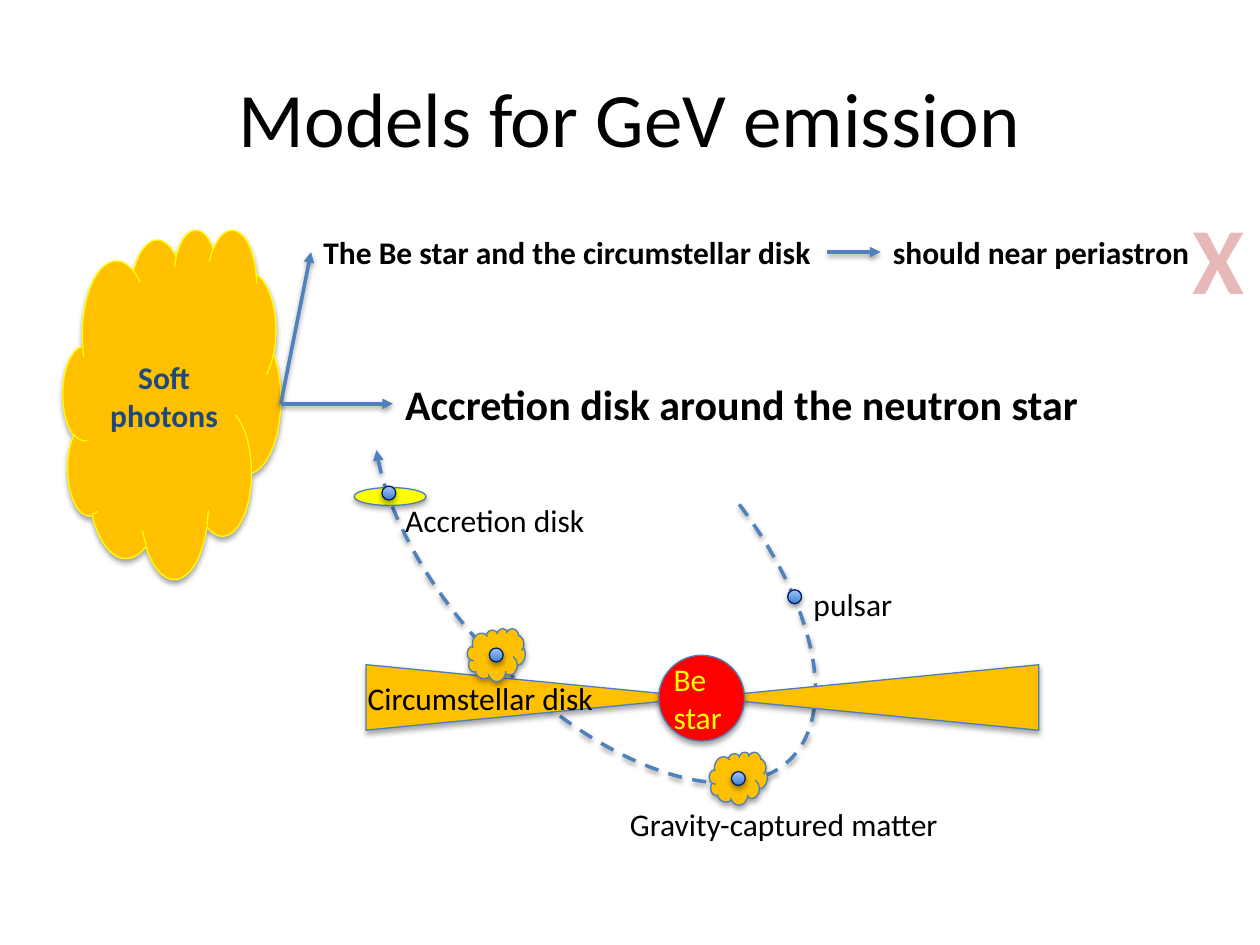
from lxml import etree
from pptx import Presentation
from pptx.dml.color import RGBColor
from pptx.enum import dml, shapes, text
from pptx.oxml import ns
from pptx.util import Cm, Pt

BLACK = RGBColor(0x00, 0x00, 0x00)
NAVY = RGBColor(0x1F, 0x49, 0x7D)
AMBER = RGBColor(0xFF, 0xC0, 0x00)
YELLOW = RGBColor(0xFF, 0xFF, 0x00)
RED = RGBColor(0xFF, 0x00, 0x00)
PINK = RGBColor(0xE6, 0xB9, 0xB8)
ARROW_BLUE = RGBColor(0x4F, 0x81, 0xBD)
EDGE_BLUE = RGBColor(0x4B, 0x7E, 0xBC)
DOT_EDGE = RGBColor(0x00, 0x20, 0x60)
DOT_DARK = RGBColor(0x3F, 0x80, 0xCE)
DOT_LIGHT = RGBColor(0xA4, 0xC4, 0xFF)

FONT = "Calibri"
LINE_HEIGHT = 1.02
DOT = 0.28
KIND = shapes.MSO_SHAPE


def add_shadow(item, distance, opacity):
    """Cast a soft black shadow straight down."""
    effects = etree.SubElement(item._element.spPr, ns.qn("a:effectLst"))
    shadow = etree.SubElement(
        effects, ns.qn("a:outerShdw"), blurRad=str(Pt(3.1)),
        dist=str(Pt(distance)), dir="5400000", rotWithShape="0")
    color = etree.SubElement(shadow, ns.qn("a:srgbClr"), val="000000")
    etree.SubElement(color, ns.qn("a:alpha"), val=str(opacity * 1000))


def style_arrow(item):
    item.line.color.rgb = ARROW_BLUE
    item.line.width = Pt(2)
    etree.SubElement(item.line._get_or_add_ln(), ns.qn("a:tailEnd"),
                     type="triangle")
    add_shadow(item, 1.6, 38)


def add_body(slide, kind, left, top, width, height, fill=AMBER, edge=EDGE_BLUE):
    body = slide.shapes.add_shape(kind, Cm(left), Cm(top), Cm(width), Cm(height))
    body.fill.solid()
    body.fill.fore_color.rgb = fill
    body.line.color.rgb = edge
    body.line.width = Pt(0.75)
    add_shadow(body, 1.8, 35)
    return body


def add_pulsar(slide, left, top):
    pulsar = add_body(slide, KIND.OVAL, left, top, DOT, DOT, edge=DOT_EDGE)
    pulsar.fill.gradient()
    pulsar.fill.gradient_angle = 90
    for stop, color in zip(pulsar.fill.gradient_stops, (DOT_DARK, DOT_LIGHT)):
        stop.color.rgb = color


def set_font(paragraph, size, color, bold):
    font = paragraph.font
    font.name, font.size, font.bold = FONT, Pt(size), bold
    font.color.rgb = color


def add_label(slide, wording, left, top, width, height=LINE_HEIGHT,
              size=18, color=BLACK, bold=False):
    label = slide.shapes.add_textbox(Cm(left), Cm(top), Cm(width), Cm(height))
    frame = label.text_frame
    frame.word_wrap = False
    frame.auto_size = text.MSO_AUTO_SIZE.SHAPE_TO_FIT_TEXT
    frame.text = wording
    for paragraph in frame.paragraphs:
        set_font(paragraph, size, color, bold)
    return label


def add_arrow(slide, start, target):
    """Draw an arrow from a point to the left side of a label."""
    arrow = slide.shapes.add_connector(
        shapes.MSO_CONNECTOR.STRAIGHT, *map(Cm, start), *map(Cm, start))
    arrow.end_connect(target, 1)
    style_arrow(arrow)
    return arrow


def fill_title(slide, left, top, width, height):
    title = slide.shapes.title
    title.left, title.top = Cm(left), Cm(top)
    title.width, title.height = Cm(width), Cm(height)
    title.text_frame.text = "Models for GeV emission"
    title.text_frame.vertical_anchor = text.MSO_ANCHOR.MIDDLE
    heading = title.text_frame.paragraphs[0]
    heading.alignment = text.PP_ALIGN.CENTER
    set_font(heading, 44, BLACK, False)


def draw_photon_sources(slide, left, top):
    cloud = add_body(slide, KIND.CLOUD, left, top + 0.71, 4.39, 7.04, edge=YELLOW)
    cloud.text_frame.text = "Soft photons"
    cloud.text_frame.word_wrap = True
    cloud.text_frame.vertical_anchor = text.MSO_ANCHOR.MIDDLE
    photons = cloud.text_frame.paragraphs[0]
    photons.alignment = text.PP_ALIGN.CENTER
    set_font(photons, 18, NAVY, True)

    star_option = add_label(slide, "The Be star and the circumstellar disk",
                            left + 5, top + 0.66, 10.41, bold=True)
    objection = add_label(slide, "should near periastron",
                          left + 16.48, top + 0.66, 6.53, bold=True)
    cross = add_label(slide, "X", left + 22.5, top, 1.57, 2.57,
                      size=54, color=PINK, bold=True)
    cross.text_frame.paragraphs[0].alignment = text.PP_ALIGN.CENTER
    disk_option = add_label(slide, "Accretion disk around the neutron star",
                            left + 6.65, top + 3.59, 14.2, 1.28,
                            size=24, bold=True)

    cloud_side = (left + 4.39, top + 4.23)
    add_arrow(slide, cloud_side, star_option)
    add_arrow(slide, cloud_side, disk_option)
    add_arrow(slide, (left + 15.41, top + 1.17),
              objection).begin_connect(star_option, 3)


def draw_orbit(slide, left, top):
    orbit = slide.shapes.add_shape(KIND.ARC, Cm(left), Cm(top), Cm(11.38), Cm(5.79))
    orbit.fill.background()
    orbit.rotation = 46.4
    for index, degrees in enumerate((294, 159.43)):
        orbit.adjustments[index] = degrees * 0.6  # 60000ths over 100000
    orbit.line.dash_style = dml.MSO_LINE.DASH
    style_arrow(orbit)

    for x, rotation in ((3.81, 90), (10.59, 270)):
        wing = add_body(slide, KIND.ISOSCELES_TRIANGLE,
                        left + x, top + 2.36, 1.32, 6.78)
        wing.rotation = rotation
    add_body(slide, KIND.OVAL, left + 6.98, top + 4.9, 1.73, 1.73, fill=RED)
    add_label(slide, "Be\nstar", left + 7.03, top + 4.87, 1.5, 1.8, color=YELLOW)

    matter_width, matter_height = 1.17, 1.07
    for x, y in ((8, 6.85), (3.12, 4.36)):
        add_body(slide, KIND.CLOUD, left + x, top + y, matter_width, matter_height)
        add_pulsar(slide, left + x + (matter_width - DOT) / 2,
                   top + y + (matter_height - DOT) / 2)
    add_body(slide, KIND.OVAL, left + 0.84, top + 1.52, 1.45, 0.36, fill=YELLOW)
    for x, y in ((1.4, 1.49), (9.58, 3.58)):
        add_pulsar(slide, left + x, top + y)

    for wording, x, y, width in (
            ("Circumstellar disk", 0.86, 5.25, 5.1),
            ("Accretion disk", 1.62, 1.67, 4.17),
            ("Gravity-captured matter", 6.15, 7.79, 7.04),
            ("pulsar", 9.85, 3.35, 2.11)):
        add_label(slide, wording, left + x, top + y, width)


def main():
    deck = Presentation()
    deck.slide_width, deck.slide_height = Cm(25.4), Cm(19.05)
    slide = deck.slides.add_slide(deck.slide_layouts[5])
    fill_title(slide, 1.27, 0.76, 22.86, 3.18)
    draw_photon_sources(slide, 1.27, 3.91)
    draw_orbit(slide, 6.3, 8.31)
    deck.save("out.pptx")


if __name__ == "__main__":
    main()
